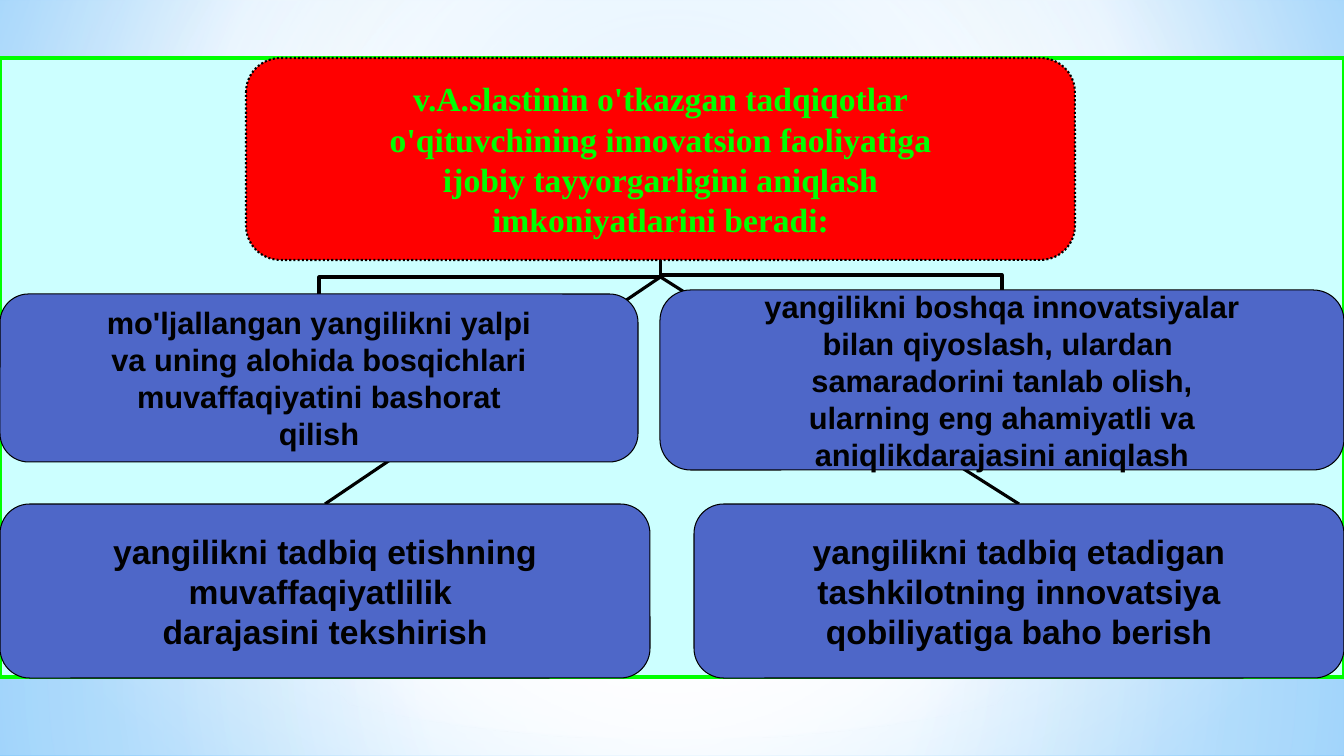
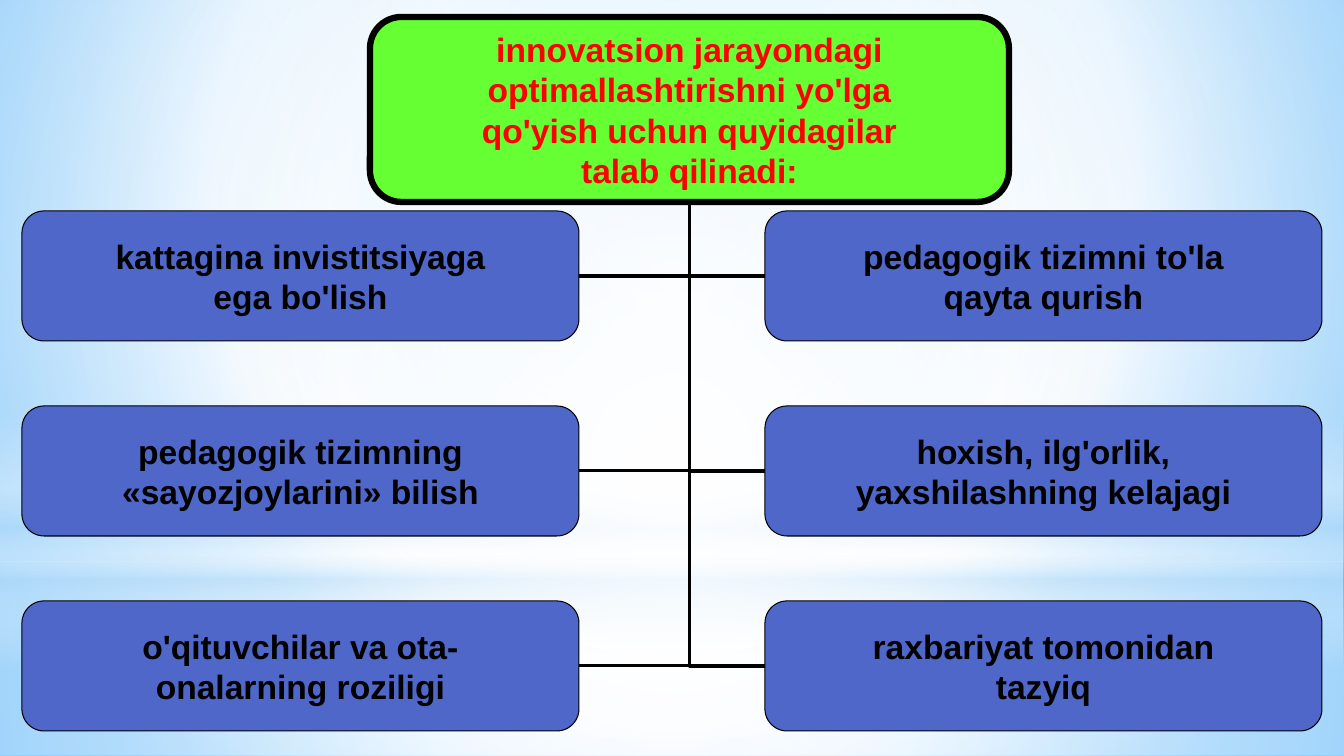
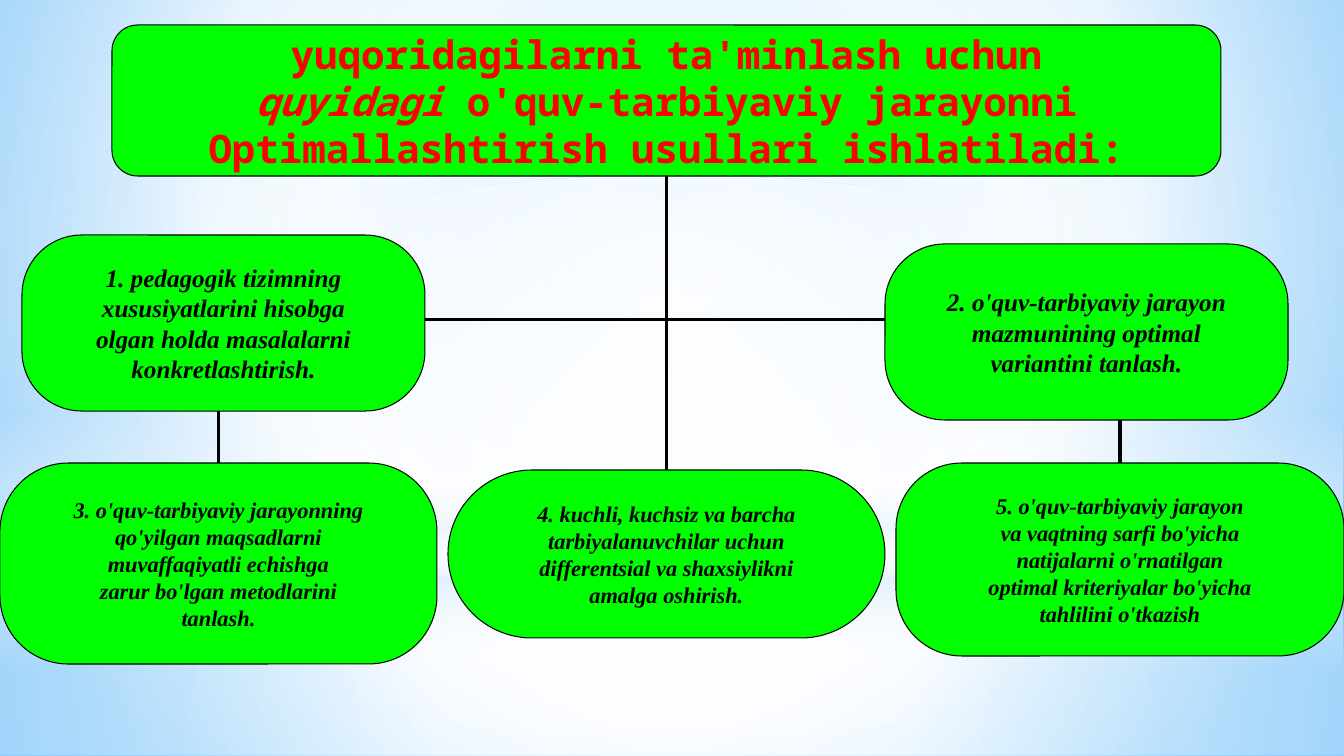
"""Build three diagram slides about innovation in teaching."""
from lxml import etree
from pptx import Presentation
from pptx.dml.color import RGBColor
from pptx.enum.dml import MSO_LINE
from pptx.enum.shapes import MSO_CONNECTOR, MSO_SHAPE
from pptx.enum.text import MSO_ANCHOR, PP_ALIGN
from pptx.oxml.ns import qn
from pptx.util import Pt

PX = 914400 / 100.8
W, H = 1344, 756
RECT, OVAL, ROUND = MSO_SHAPE.RECTANGLE, MSO_SHAPE.OVAL, MSO_SHAPE.ROUNDED_RECTANGLE
STRAIGHT, ELBOW = MSO_CONNECTOR.STRAIGHT, MSO_CONNECTOR.ELBOW
MIDDLE, CENTER, DOTTED = MSO_ANCHOR.MIDDLE, PP_ALIGN.CENTER, MSO_LINE.ROUND_DOT

BLACK = RGBColor(0x00, 0x00, 0x00)
RED = RGBColor(0xFF, 0x00, 0x00)
GREEN = RGBColor(0x00, 0xFF, 0x00)
LIME = RGBColor(0x66, 0xFF, 0x33)
BLUE = RGBColor(0x4E, 0x67, 0xC8)
PALE = RGBColor(0xCC, 0xFF, 0xFF)
SERIF, SANS, MONO = "Times New Roman", "Arial", "Noto Sans Mono"

MIDPOINT = (50, 50, 50, 50)
BACKDROP = [(0, "9ED5FF", 100), (60, "FFFFFF", 100), (100, "5BB9FF", 100)]
BACKDROP_FOCUS = (20, 10, 20, 60)
BANDS = [
    (RECT, (0, 562, W, 194), [(0, "FFFFFF", 91), (37, "FFFFFF", 76), (100, "B4DCFA", 79)], MIDPOINT),
    (RECT, (0, 0, W, 562), [(0, "FFFFFF", 89), (48, "FFFFFF", 62), (100, "B4DCFA", 79)], MIDPOINT),
    (RECT, (0, 415, W, 252), [(0, "FFFFFF", 0), (29, "FFFFFF", 30), (45, "B4DCFA", 40),
                              (55, "FFFFFF", 26), (65, "B4DCFA", 60), (100, "FFFFFF", 0)], None),
    (OVAL, (0, 176, W, 562), [(0, "FFFFFF", 100), (56, "FFFFFF", 0)], MIDPOINT),
]

PANEL = (0, 58, W, 619)
STUDY_TITLE = ((246, 58, 829, 202), [
    "v.А.slаstinin o'tkаzgаn tаdqiqоtlаr", "o'qituvchining innоvаtsiоn fаоliyatigа",
    "ijоbiy tаyyorgаrligini аniqlаsh", "imkоniyatlаrini bеrаdi:"])
STUDY_UPPER = [
    ((0, 294, 638, 168), ["mo'ljаllаngаn yangilikni yalpi", "vа uning аlоhidа bоsqichlаri",
                          "muvаffаqiyatini bаshоrаt", "qilish"]),
    ((660, 290, 684, 180), ["yangilikni bоshqа innоvаtsiyalаr", "bilаn qiyoslаsh, ulаrdаn ",
                            "sаmаrаdоrini tаnlаb оlish,", "ulаrning eng аhаmiyatli vа",
                            "аniqlikdаrаjаsini аniqlаsh"]),
]
STUDY_LOWER = [
    ((694, 504, 650, 174), ["yangilikni tаdbiq etаdigаn", "tаshkilоtning innоvаtsiya",
                            "qоbiliyatigа bаhо bеrish"]),
    ((0, 504, 650, 174), ["yangilikni tаdbiq etishning", "muvаffаqiyatlilik ",
                          "dаrаjаsini tеkshirish"]),
]

NEEDS_TITLE = ((370, 17, 639, 185), [
    "innоvаtsiоn jаrаyondаgi", "оptimаllаshtirishni yo'lgа",
    "qo'yish uchun quyidаgilаr", "tаlаb qilinаdi:"])
NEEDS = [
    (["kаttаginа invistitsiyagа", "egа bo'lish"], ["pеdаgоgik tizimni to'lа", "qаytа qurish"]),
    (["pеdаgоgik tizimning", "«sаyozjоylаrini» bilish"],
     ["hохish, ilg'оrlik,", "yaхshilаshning kеlаjаgi"]),
    (["o'qituvchilаr vа оtа-", "оnаlаrning rоziligi"], ["rахbаriyat tоmоnidаn", "tаzyiq"]),
]
NEED_LEFTS, NEED_TOP, NEED_PITCH, NEED_W, NEED_H = (22, 765), 211, 195, 557, 130

METHODS_TITLE = ((112, 25, 1109, 151), [
    "yuqоridаgilаrni tа'minlаsh uchun", "*quyidаgi *o'quv-tаrbiyaviy jаrаyonni",
    "Оptimаllаshtirish usullаri ishlаtilаdi:"])
METHODS = [
    ((0, 463, 437, 201), 0.34, 16, [
        "3. o'quv-tаrbiyaviy jаrаyonning", "qo'yilgаn mаqsаdlаrni", "muvаffаqiyatli еchishgа",
        "zаrur bo'lgаn mеtоdlаrini", "tаnlаsh."]),
    ((448, 470, 437, 168), 0.5, 16, [
        "4. kuchli, kuchsiz vа bаrchа", "tаrbiyalаnuvchilаr uchun",
        "diffеrеntsiаl vа shахsiylikni", "аmаlgа оshirish."]),
    ((896, 463, 448, 193), 0.34, 16, [
        "5. o'quv-tаrbiyaviy jаrаyon", "vа vаqtning sаrfi bo'yichа", "nаtijаlаrni o'rnаtilgаn",
        "оptimаl kritеriyalаr bo'yichа", "tаhlilini o'tkаzish"]),
    ((22, 235, 403, 176), 0.34, 18, [
        "1. pеdаgоgik tizimning", "хususiyatlаrini hisоbgа", "оlgаn hоldа mаsаlаlаrni",
        "kоnkrеtlаshtirish."]),
    ((885, 244, 403, 176), 0.34, 18, [
        "2. o'quv-tаrbiyaviy jаrаyon", "mаzmunining оptimаl", "vаriаntini tаnlаsh."]),
]


def emu(*lengths):
    return [round(n * PX) for n in lengths]


def set_gradient(fill, holder, stops, focus):
    """Replace the fill's gradient: circular around focus, or top to bottom."""
    fill.gradient()
    grad = next(holder.iter(qn("a:gradFill")))
    for child in list(grad):
        grad.remove(child)
    stop_list = etree.SubElement(grad, qn("a:gsLst"))
    for pos, color, alpha in stops:
        stop = etree.SubElement(stop_list, qn("a:gs"), pos=str(pos * 1000))
        rgb = etree.SubElement(stop, qn("a:srgbClr"), val=color)
        etree.SubElement(rgb, qn("a:alpha"), val=str(alpha * 1000))
    if focus:
        circle = etree.SubElement(grad, qn("a:path"), path="circle")
        etree.SubElement(circle, qn("a:fillToRect"),
                         {side: str(n * 1000) for side, n in zip("ltrb", focus)})
    else:
        etree.SubElement(grad, qn("a:lin"), ang="5400000", scaled="0")


def decorate_master(prs, s):
    """Put the sky backdrop and its bands on the slide master."""
    master = prs.slide_master
    set_gradient(master.background.fill, master.element, BACKDROP, BACKDROP_FOCUS)
    for number, (kind, box, stops, focus) in enumerate(BANDS, 101):
        sp = s.shapes.add_shape(kind, *emu(*box))
        sp.shadow.inherit = False
        sp.line.fill.background()
        set_gradient(sp.fill, sp.element, stops, focus)
        next(sp.element.iter(qn("p:cNvPr"))).set("id", str(number))
        master.shapes.element.append(sp.element)


def add_box(s, box, fill, line=BLACK, width=0.75, kind=ROUND, radius=0.17):
    sp = s.shapes.add_shape(kind, *emu(*box))
    sp.shadow.inherit = False
    sp.fill.solid()
    sp.fill.fore_color.rgb = fill
    sp.line.color.rgb = line
    sp.line.width = Pt(width)
    if kind == ROUND:
        sp.adjustments[0] = radius
    return sp


def add_text(sp, lines, size, font=SANS, color=BLACK, italic=False):
    """Write one paragraph a line; a part between asterisks is italic."""
    tf = sp.text_frame
    tf.word_wrap = False
    tf.vertical_anchor = MIDDLE
    tf.margin_left = tf.margin_right = tf.margin_top = tf.margin_bottom = 0
    for i, line in enumerate(lines):
        p = tf.paragraphs[0] if i == 0 else tf.add_paragraph()
        p.alignment = CENTER
        p.font.size, p.font.name = Pt(size), font
        p.font.bold, p.font.italic = True, italic
        p.font.color.rgb = color
        for j, part in enumerate(line.split("*")):
            if part:
                r = p.add_run()
                r.text = part
                if j % 2:
                    r.font.italic = True


def add_link(s, start, end, kind=STRAIGHT, preset=None, turn=0):
    link = s.shapes.add_connector(kind, *emu(*start, *end))
    link.line.color.rgb = BLACK
    link.line.width = Pt(2.25)
    sp_pr = link.element.spPr
    etree.SubElement(sp_pr, qn("a:effectLst"))
    if preset:
        sp_pr.find(qn("a:prstGeom")).set("prst", preset)
    if turn:
        sp_pr.find(qn("a:xfrm")).set("rot", str(turn * 60000))


def add_fork(s, child, parent):
    """Join a child's top to the parent's bottom: up, across, up."""
    (cx, cy), (px, py) = child, parent
    mx, my = (cx + px) / 2, (cy + py) / 2
    half_w, half_h = (cy - py) / 2, abs(cx - px) / 2
    side, turn = (-1, 270) if cx > px else (1, 90)
    add_link(s, (mx + side * half_w, my + half_h), (mx - side * half_w, my - half_h), ELBOW, turn=turn)


def top_of(box):
    return box[0] + box[2] / 2, box[1]


def bottom_of(box):
    return box[0] + box[2] / 2, box[1] + box[3]


def build_study(s):
    box, lines = STUDY_TITLE
    add_box(s, PANEL, PALE, GREEN, 3, RECT)
    stem = bottom_of(box)
    for child, _ in STUDY_LOWER:
        add_link(s, top_of(child), (stem[0], 277))
    for child, _ in STUDY_UPPER:
        add_fork(s, top_of(child), stem)
    title = add_box(s, box, RED, width=1.5)
    title.line.dash_style = DOTTED
    add_text(title, lines, 24, SERIF, GREEN)
    for group, size in ((STUDY_UPPER, 22), (STUDY_LOWER, 24)):
        for child, text in group:
            add_text(add_box(s, child, BLUE), text, size)


def build_needs(s):
    box, lines = NEEDS_TITLE
    x, y = bottom_of(box)
    left, right = NEED_LEFTS
    for i in reversed(range(len(NEEDS))):
        mid = NEED_TOP + i * NEED_PITCH + NEED_H / 2
        add_link(s, (x, y), (right, mid), ELBOW, "bentConnector2", 180)
        add_link(s, (left + NEED_W, mid), (x, y), ELBOW, "bentConnector2")
    add_text(add_box(s, box, LIME, width=4.5), lines, 24, color=RED)
    for i, row in enumerate(NEEDS):
        for x, text in zip(NEED_LEFTS, row):
            need = (x, NEED_TOP + i * NEED_PITCH, NEED_W, NEED_H)
            add_text(add_box(s, need, BLUE), text, 24)


def build_methods(s):
    box, lines = METHODS_TITLE
    stem = bottom_of(box)
    first, middle, last = (top_of(method[0]) for method in METHODS[:3])
    add_fork(s, last, stem)
    add_link(s, middle, stem)
    add_fork(s, first, stem)
    add_text(add_box(s, box, GREEN), lines, 28, MONO, RED)
    for child, radius, size, text in METHODS:
        add_text(add_box(s, child, GREEN, radius=radius), text, size, SERIF, italic=True)


def main():
    prs = Presentation()
    prs.slide_width, prs.slide_height = emu(W, H)
    blank = prs.slide_layouts[6]
    for i, build in enumerate((build_study, build_needs, build_methods)):
        s = prs.slides.add_slide(blank)
        if i == 0:
            decorate_master(prs, s)
        build(s)
    prs.save("out.pptx")


if __name__ == "__main__":
    main()
